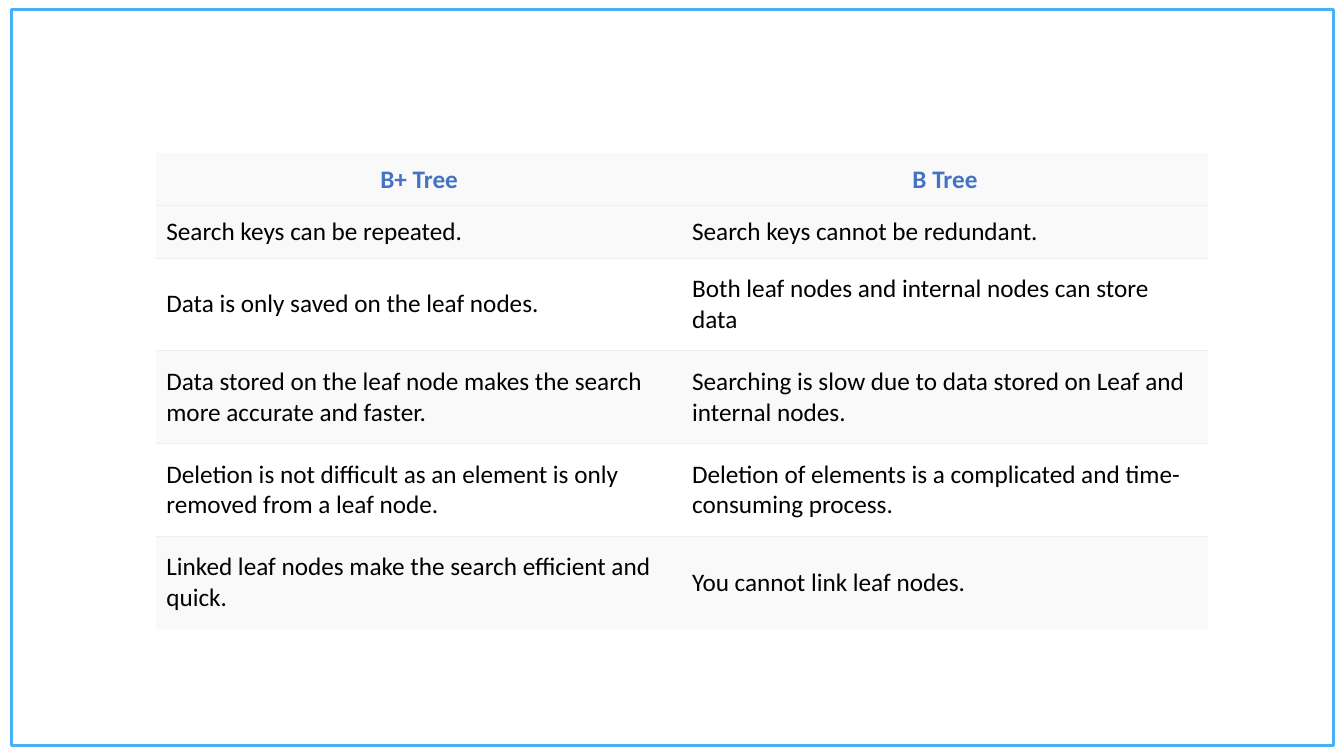
from lxml.etree import SubElement
from pptx import Presentation
from pptx.dml.color import RGBColor
from pptx.enum.shapes import MSO_SHAPE
from pptx.enum.text import MSO_ANCHOR, PP_ALIGN
from pptx.oxml.ns import qn
from pptx.util import Inches, Pt

COMPARISON = [
    ("B+ Tree", "B Tree"),
    ("Search keys can be repeated.", "Search keys cannot be redundant."),
    ("Data is only saved on the leaf nodes.",
     "Both leaf nodes and internal nodes can store data"),
    ("Data stored on the leaf node makes the search more accurate and faster.",
     "Searching is slow due to data stored on Leaf and internal nodes."),
    ("Deletion is not difficult as an element is only removed from a leaf node.",
     "Deletion of elements is a complicated and time-consuming process."),
    ("Linked leaf nodes make the search efficient and quick.",
     "You cannot link leaf nodes."),
]
ROW_HEIGHTS = [0.52] * 2 + [0.92] * 4


def color(value):
    """Turn a hex string into a colour."""
    return RGBColor.from_string(value)


def add_frame(slide, left, top, width, height):
    """Draw the blue outline around the slide."""
    frame = slide.shapes.add_shape(MSO_SHAPE.RECTANGLE, Inches(left), Inches(top),
                                   Inches(width), Inches(height))
    frame.shadow.inherit = False
    frame.fill.background()
    frame.line.color.rgb = color("46B0F9")
    frame.line.width = Pt(2.25)


def set_borders(cell, ruled_sides):
    """Rule the given sides of a cell in grey and clear the others."""
    properties = cell._tc.get_or_add_tcPr()
    for side in "LRTB":
        border = SubElement(properties, qn(f"a:ln{side}"), w=str(Pt(0.75)))
        if side in ruled_sides:
            fill = SubElement(border, qn("a:solidFill"))
            SubElement(fill, qn("a:srgbClr"), val="EEEEEE")
        else:
            SubElement(border, qn("a:noFill"))


def fill_cell(cell, text, row, last_row):
    """Write and format one cell according to its row."""
    is_header = row == 0
    set_borders(cell, ("T" if row > 0 else "") + ("B" if row < last_row else ""))
    cell.fill.solid()
    cell.fill.fore_color.rgb = color("F9F9F9" if is_header or row % 2 else "FFFFFF")
    cell.vertical_anchor = MSO_ANCHOR.MIDDLE
    cell.text = text
    paragraph = cell.text_frame.paragraphs[0]
    paragraph.alignment = PP_ALIGN.CENTER if is_header else PP_ALIGN.LEFT
    font = paragraph.font
    font.name = "Calibri"
    font.size = Pt(18)
    font.bold = is_header
    font.color.rgb = color("4472C4" if is_header else "000000")


def add_comparison(slide, left, top, width):
    """Place the table comparing both kinds of tree."""
    columns = len(COMPARISON[0])
    table = slide.shapes.add_table(len(COMPARISON), columns, Inches(left), Inches(top),
                                   Inches(width), Inches(sum(ROW_HEIGHTS))).table
    for column in table.columns:
        column.width = Inches(width / columns)
    for row, (height, texts) in enumerate(zip(ROW_HEIGHTS, COMPARISON)):
        table.rows[row].height = Inches(height)
        for column, text in enumerate(texts):
            fill_cell(table.cell(row, column), text, row, len(COMPARISON) - 1)


def main():
    """Build and save the slide."""
    deck = Presentation()
    deck.slide_width = Inches(13.33)
    deck.slide_height = Inches(7.5)
    slide = deck.slides.add_slide(deck.slide_layouts[6])
    add_frame(slide, 0.11, 0.09, 13.12, 7.31)
    add_comparison(slide, 1.55, 1.52, 10.43)
    deck.save("out.pptx")


if __name__ == "__main__":
    main()
